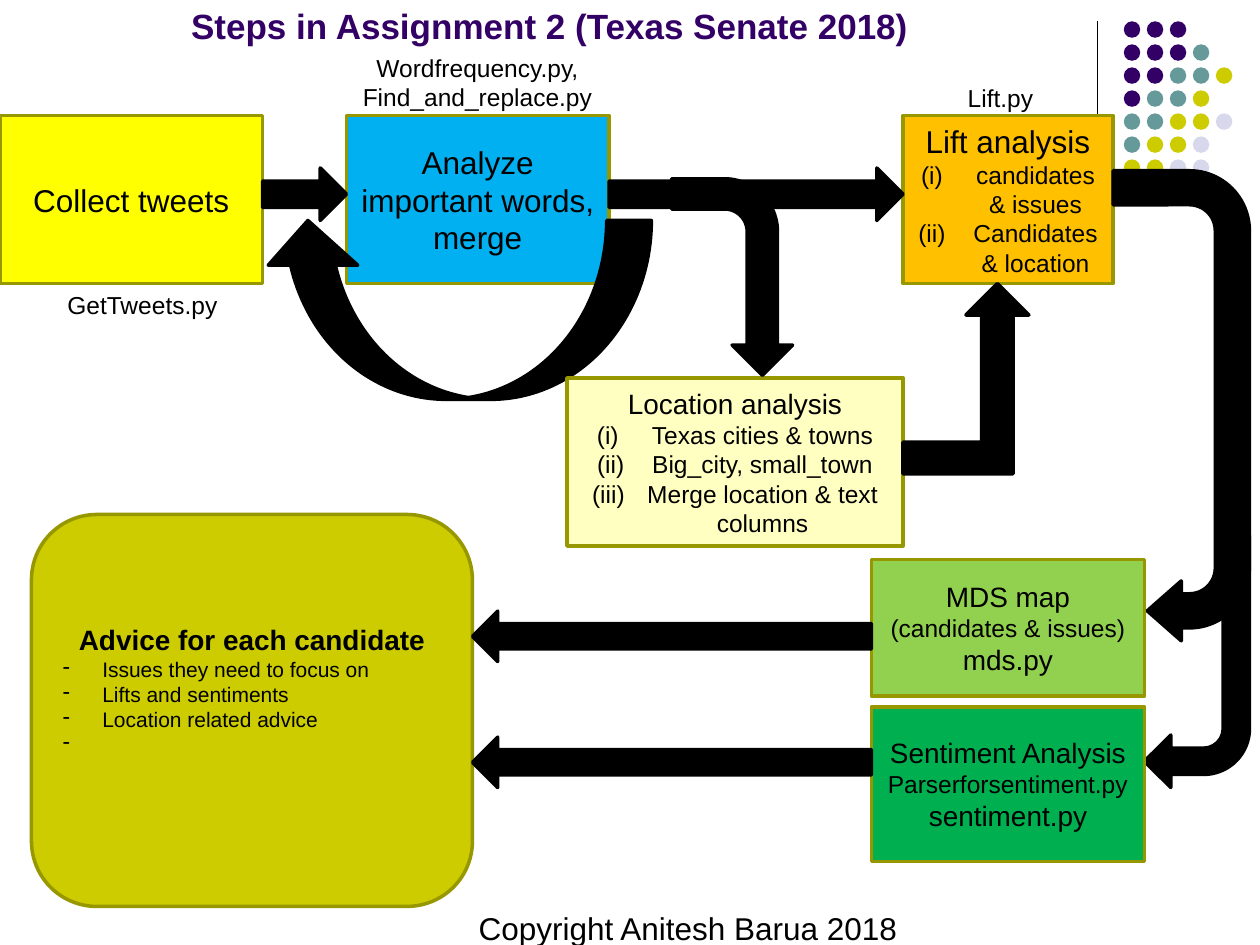
import pptx
import pptx.util
import pptx.dml.color
import pptx.enum.shapes
import pptx.enum.text
from lxml import etree

Pt = pptx.util.Pt
KIND = pptx.enum.shapes.MSO_SHAPE
ALIGN = pptx.enum.text.PP_ALIGN
ANCHOR = pptx.enum.text.MSO_ANCHOR

# Content
TITLE = "Steps in Assignment 2 (Texas Senate 2018)"

COLLECT = [[("large", "Collect tweets")]]
ANALYZE = [[("large", "Analyze important words, merge")]]
LIFT = [[("large", "Lift analysis")],
        [("roman", "candidates & issues")],
        [("roman", "Candidates & location")]]
LOCATION = [[("head", "Location analysis")],
            [("roman", "Texas cities & towns")],
            [("roman", "Big_city, small_town")],
            [("roman", "Merge location & text columns")]]
MDS = [[("head", "MDS map "), ("small", "(candidates & issues)")],
       [("head", "mds.py")]]
SENTIMENT = [[("head", "Sentiment Analysis")],
             [("small", "Parserforsentiment.py")],
             [("head", "sentiment.py")]]
ADVICE = [[("strong", "Advice for each candidate")],
          [("dash", "Issues they need to focus on")],
          [("dash", "Lifts and sentiments")],
          [("dash", "Location related advice")],
          [("dash", " ")]]

# Dot pattern: one letter per dot colour, "." for a gap
DOTS = ["PPP", "PPPT", "PPTTY", "PTTY", "TTYYL", "TYYL", "YYLL", ".L.L"]

# Theme
THEME = {
    "font": "Arial", "text": "000000", "title": "330066", "border": "979700",
    "arrow": "000000", "line": 2, "title_size": 20,
    "dots": {"P": "330066", "T": "669999", "Y": "CCCC00", "L": "D8D8EC"},
    "styles": {
        "large": {"size": Pt(18)},
        "head": {"size": Pt(16)},
        "strong": {"size": Pt(16), "bold": True},
        "small": {"size": Pt(14)},
        "roman": {"size": Pt(14)},
        "dash": {"size": Pt(12)},
    },
    "bullets": {
        "roman": (31.5, "buAutoNum", {"type": "romanLcParenBoth"}),
        "dash": (22.5, "buChar", {"char": "-"}),
    },
}

# Frames: left, top, width, height in points
ROW_TOP, ROW_HEIGHT = 66, 96
MDS_LEFT, ADVICE_RIGHT = 498, 270
RESULT_WIDTH = 156
ADVICE_INSET = 51


def row_frame(left, width):
    return left, ROW_TOP, width, ROW_HEIGHT


def forward_frame(left, right):
    return left, 96, right - left, 30


def advice_arrow_frame(top):
    return ADVICE_RIGHT, top, MDS_LEFT - ADVICE_RIGHT, 28.8


# Boxes and arrows from back to front: kind, frame, rotation, fill, paragraphs
SHAPES = [
    (KIND.RECTANGLE, row_frame(0, 150), 0, "FFFF00", COLLECT),
    (KIND.RECTANGLE, row_frame(198, 150), 0, "00B0F0", ANALYZE),
    (KIND.RECTANGLE, row_frame(516, 120), 0, "FFC000", LIFT),
    (KIND.RIGHT_ARROW, forward_frame(150, 198), 0, None, None),
    (KIND.RIGHT_ARROW, forward_frame(348, 516), 0, None, None),
    (KIND.U_TURN_ARROW, (540.7, 193, 268.6, 77.8), 90, None, None),
    (KIND.RECTANGLE, (MDS_LEFT, 319.7, RESULT_WIDTH, 78), 0, "92D050", MDS),
    (KIND.BENT_ARROW, (654, 306, 60, 144), 180, None, None),
    (KIND.RECTANGLE, (MDS_LEFT, 403.9, RESULT_WIDTH, 88.4), 0, "00B050", SENTIMENT),
    (KIND.ROUNDED_RECTANGLE, (18, 294, 252, 224), 0, "CCCC00", ADVICE),
    (KIND.RIGHT_ARROW, advice_arrow_frame(349.2), 180, None, None),
    (KIND.RIGHT_ARROW, advice_arrow_frame(421.2), 180, None, None),
    (KIND.CURVED_LEFT_ARROW, (210.2, 66.2, 102.2, 221.8), 90, None, None),
    (KIND.RECTANGLE, (324, 216, 192, 96), 0, "FFFFC2", LOCATION),
    (KIND.BENT_ARROW, (362.2, 123.8, 112.3, 69.1), 90, None, None),
    (KIND.BENT_UP_ARROW, (516, 162, 72, 108.7), 0, None, None),
]
U_TURN_ADJUSTMENTS = [0.25, 0.22, 0.25, 0.44, 0.75]

# Labels: frame, alignment, paragraphs
LABELS = [
    ((31, 162, 100.8, 41), ALIGN.CENTER, [[("small", "GetTweets.py")]]),
    ((197.3, 26.6, 151.2, 63.4), ALIGN.CENTER,
     [[("small", "Wordfrequency.py,")], [("small", "Find_and_replace.py")]]),
    ((266.4, 516.2, 255.6, 28.8), ALIGN.LEFT,
     [[("large", "Copyright Anitesh Barua 2018")]]),
    ((540, 43.9, 63.4, 46), ALIGN.CENTER, [[("small", "Lift.py")]]),
]


def color(value):
    return pptx.dml.color.RGBColor.from_string(value)


def points(frame):
    return [Pt(length) for length in frame]


def apply(target, values):
    for name, value in values.items():
        setattr(target, name, value)


def add_bullet(para, style):
    indent, tag, attributes = THEME["bullets"][style]
    props = para._p.get_or_add_pPr()
    props.set("marL", str(int(Pt(indent))))
    props.set("indent", str(-int(Pt(indent))))
    etree.SubElement(props, pptx.oxml.ns.qn("a:" + tag), attributes)


def write(frame, paragraphs, align):
    for index, spans in enumerate(paragraphs):
        para = frame.paragraphs[0] if index == 0 else frame.add_paragraph()
        style = spans[0][0]
        para.alignment = ALIGN.LEFT if style == "dash" else align
        if style in THEME["bullets"]:
            add_bullet(para, style)
        for name, text in spans:
            span = para.add_run()
            span.text = text
            apply(span.font, {"name": THEME["font"], **THEME["styles"][name]})
            span.font.color.rgb = color(THEME["text"])


def add_shape(page, kind, frame, fill, border=None):
    shape = page.shapes.add_shape(kind, *points(frame))
    shape.shadow.inherit = False
    shape.fill.solid()
    shape.fill.fore_color.rgb = color(fill)
    if border:
        shape.line.color.rgb = color(border)
        shape.line.width = Pt(THEME["line"])
    else:
        shape.line.fill.background()
    return shape


def add_decoration(page):
    rule = page.shapes.add_connector(
        pptx.enum.shapes.MSO_CONNECTOR.STRAIGHT, *points((627, 12, 627, 132)))
    rule.line.color.rgb = color(THEME["text"])
    rule.line.width = Pt(0.75)
    etree.SubElement(rule._element.spPr, pptx.oxml.ns.qn("a:effectLst"))
    left, top, pitch, size = 642.2, 12.2, 13.15, 9.4
    for row, letters in enumerate(DOTS):
        for column, letter in enumerate(letters):
            if letter != ".":
                add_shape(page, KIND.OVAL,
                          (left + column * pitch, top + row * pitch, size, size),
                          THEME["dots"][letter])


def add_title(page):
    title = page.shapes.title
    apply(title, dict(zip(("left", "top", "width", "height"),
                          points((102, 0, 594, 30)))))
    frame = title.text_frame
    apply(frame, {"vertical_anchor": ANCHOR.BOTTOM, "word_wrap": True})
    frame.text = TITLE
    para = frame.paragraphs[0]
    para.alignment = ALIGN.LEFT
    apply(para.runs[0].font, {"name": THEME["font"], "bold": True,
                              "size": Pt(THEME["title_size"])})
    para.runs[0].font.color.rgb = color(THEME["title"])


def main():
    deck = pptx.Presentation()
    deck.slide_width, deck.slide_height = Pt(720), Pt(540)
    page = deck.slides.add_slide(deck.slide_layouts[5])
    add_title(page)
    add_decoration(page)

    # Flow diagram
    for kind, frame, rotation, fill, paragraphs in SHAPES:
        box = add_shape(page, kind, frame, fill or THEME["arrow"],
                        THEME["border"] if fill else THEME["arrow"])
        box.rotation = rotation
        if kind == KIND.U_TURN_ARROW:
            for index, value in enumerate(U_TURN_ADJUSTMENTS):
                box.adjustments[index] = value
        if paragraphs:
            apply(box.text_frame, {"word_wrap": True, "vertical_anchor": ANCHOR.MIDDLE})
            write(box.text_frame, paragraphs, ALIGN.CENTER)
        if paragraphs is ADVICE:
            apply(box.text_frame, {"vertical_anchor": ANCHOR.TOP,
                                   "margin_top": Pt(ADVICE_INSET)})

    # File name labels and copyright line
    for frame, align, paragraphs in LABELS:
        label = page.shapes.add_textbox(*points(frame))
        label.text_frame.word_wrap = False
        write(label.text_frame, paragraphs, align)

    deck.save("out.pptx")


if __name__ == "__main__":
    main()
